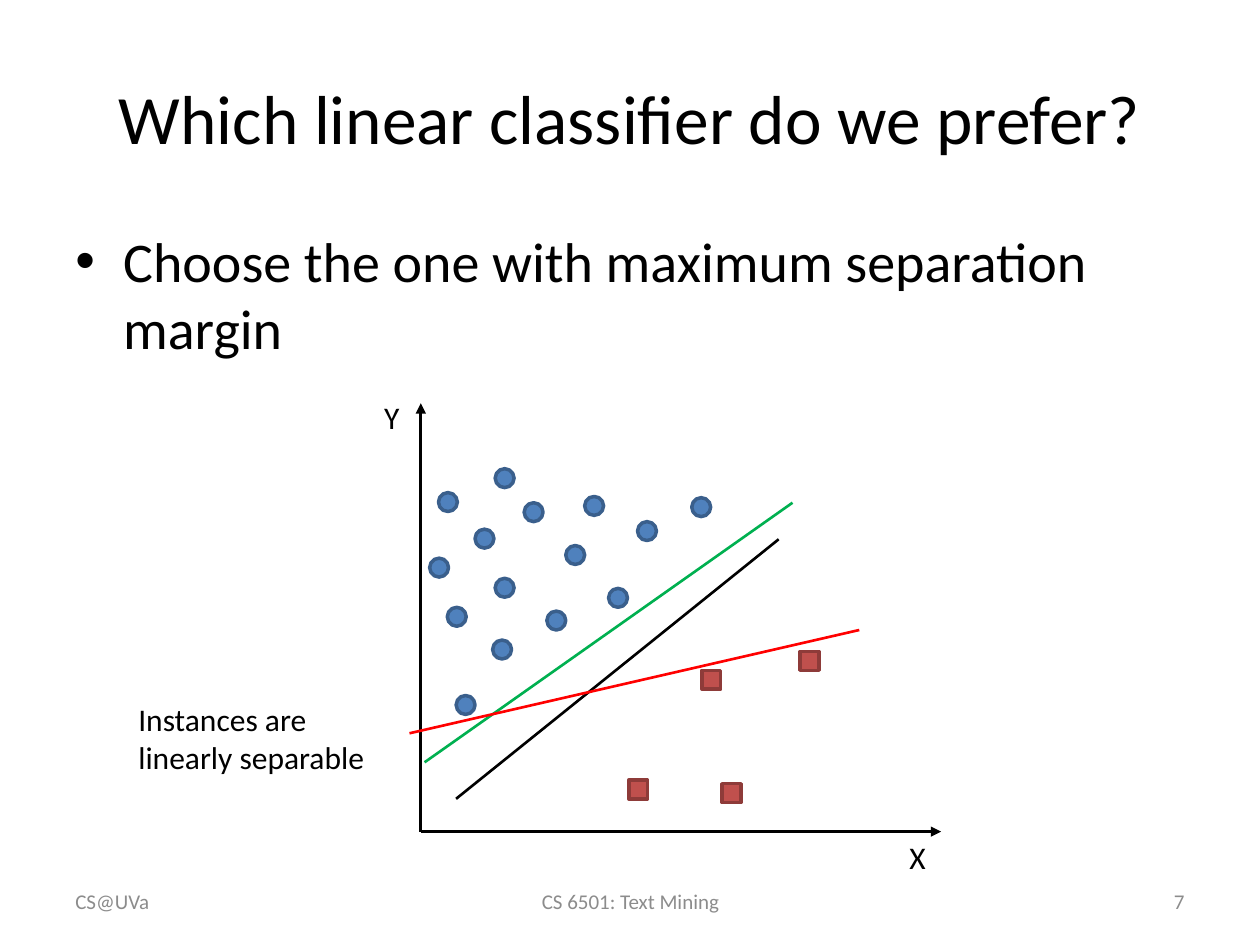
from typing import NamedTuple

from lxml import etree
from pptx import Presentation
from pptx import util as u
from pptx.dml.color import RGBColor
from pptx.enum import shapes, text
from pptx.oxml.ns import qn

COLORS = {
    "black": "000000", "gray": "8C8C8C", "green": "00B050", "red": "FF0000",
    "blue_fill": "4F81BD", "blue_edge": "3A5F8C",
    "brick_fill": "C0504D", "brick_edge": "8E3B39",
}
FONT = "Calibri"
MARKER_SIZE = 0.15
ORIGIN = (3.34, 6.6)
LEFT, CENTER, RIGHT = text.PP_ALIGN.LEFT, text.PP_ALIGN.CENTER, text.PP_ALIGN.RIGHT
TOP, MIDDLE = text.MSO_ANCHOR.TOP, text.MSO_ANCHOR.MIDDLE


class Label(NamedTuple):
    words: str
    left: float
    top: float
    width: float
    height: float
    size: float = 18
    color: str = "black"
    align: text.PP_ALIGN = LEFT
    anchor: text.MSO_ANCHOR = TOP
    bullet: bool = False


class Line(NamedTuple):
    start: tuple[float, float]
    end: tuple[float, float]
    color: str = "black"
    arrow: bool = False


class MarkerClass(NamedTuple):
    """One class of instances; points are the top left corners of its markers."""
    shape: shapes.MSO_SHAPE
    fill: str
    edge: str
    points: list[tuple[float, float]]


LABELS = [
    Label("Which linear classifier do we prefer?", 0.5, 0.3, 9, 1.25, 39.6,
          align=CENTER, anchor=MIDDLE),
    Label("Choose the one with maximum separation margin", 0.5, 1.75, 9, 4.95, 32,
          bullet=True),
    Label("CS@UVa", 0.5, 6.95, 2.33, 0.4, 12, "gray", LEFT, MIDDLE),
    Label("CS 6501: Text Mining", 3.42, 6.95, 3.17, 0.4, 12, "gray", CENTER, MIDDLE),
    Label("7", 7.17, 6.95, 2.33, 0.4, 12, "gray", RIGHT, MIDDLE),
    Label("Y", 2.95, 3.11, 0.6, 0.4),
    Label("X", 7.12, 6.6, 0.6, 0.4),
    Label("Instances are linearly separable", 1, 5.51, 2.33, 0.71),
]
AXES = [
    Line(ORIGIN, (7.47, 6.6), arrow=True),
    Line(ORIGIN, (3.34, 3.2), arrow=True),
]
CLASSIFIERS = [
    Line((3.37, 6.05), (6.29, 3.99), "green"),
    Line((3.62, 6.34), (6.18, 4.28)),
    Line((3.25, 5.82), (6.82, 5), "red"),
]
MARKER_CLASSES = [
    MarkerClass(shapes.MSO_SHAPE.OVAL, "blue_fill", "blue_edge", [
        (3.91, 5.08), (3.55, 4.82), (3.93, 4.59), (4.34, 4.85), (4.16, 3.99),
        (3.62, 5.52), (5.06, 4.14), (4.49, 4.33), (3.77, 4.2), (4.64, 3.94),
        (3.93, 3.72), (4.83, 4.67), (3.48, 3.91), (3.41, 4.43), (5.49, 3.95),
    ]),
    MarkerClass(shapes.MSO_SHAPE.RECTANGLE, "brick_fill", "brick_edge", [
        (5.57, 5.32), (6.35, 5.17), (5.73, 6.22), (4.99, 6.19),
    ]),
]


def rgb(name: str) -> RGBColor:
    return RGBColor.from_string(COLORS[name])


def add_bullet(para) -> None:
    """Give the paragraph a round bullet with a hanging indent."""
    props = para._p.get_or_add_pPr()
    props.set("marL", str(u.Inches(0.38)))
    props.set("indent", str(u.Inches(-0.38)))
    etree.SubElement(props, qn("a:buFont")).set("typeface", "Arial")
    etree.SubElement(props, qn("a:buChar")).set("char", "•")


def draw_label(page, label: Label) -> None:
    box = page.shapes.add_textbox(u.Inches(label.left), u.Inches(label.top),
                                  u.Inches(label.width), u.Inches(label.height))
    frame = box.text_frame
    frame.word_wrap = True
    frame.vertical_anchor = label.anchor
    frame.text = label.words
    para = frame.paragraphs[0]
    para.alignment = label.align
    if label.bullet:
        add_bullet(para)
    for span in para.runs:
        span.font.name = FONT
        span.font.size = u.Pt(label.size)
        span.font.color.rgb = rgb(label.color)


def draw_line(page, line: Line) -> None:
    connector = page.shapes.add_connector(
        shapes.MSO_CONNECTOR.STRAIGHT,
        *(u.Inches(value) for value in line.start + line.end))
    connector.line.width = u.Pt(1.5)
    connector.line.color.rgb = rgb(line.color)
    if line.arrow:
        outline = connector.line._get_or_add_ln()
        etree.SubElement(outline, qn("a:tailEnd")).set("type", "triangle")
    etree.SubElement(connector._element.spPr, qn("a:effectLst"))


def draw_markers(page, group: MarkerClass) -> None:
    size = u.Inches(MARKER_SIZE)
    for left, top in group.points:
        marker = page.shapes.add_shape(group.shape, u.Inches(left), u.Inches(top),
                                       size, size)
        marker.shadow.inherit = False
        marker.fill.solid()
        marker.fill.fore_color.rgb = rgb(group.fill)
        marker.line.color.rgb = rgb(group.edge)
        marker.line.width = u.Pt(2)


def main() -> None:
    deck = Presentation()
    deck.slide_width, deck.slide_height = u.Inches(10), u.Inches(7.5)
    page = deck.slides.add_slide(deck.slide_layouts[6])
    for label in LABELS:
        draw_label(page, label)
    for axis in AXES:
        draw_line(page, axis)
    for group in MARKER_CLASSES:
        draw_markers(page, group)
    for classifier in CLASSIFIERS:
        draw_line(page, classifier)
    deck.save("out.pptx")


if __name__ == "__main__":
    main()
